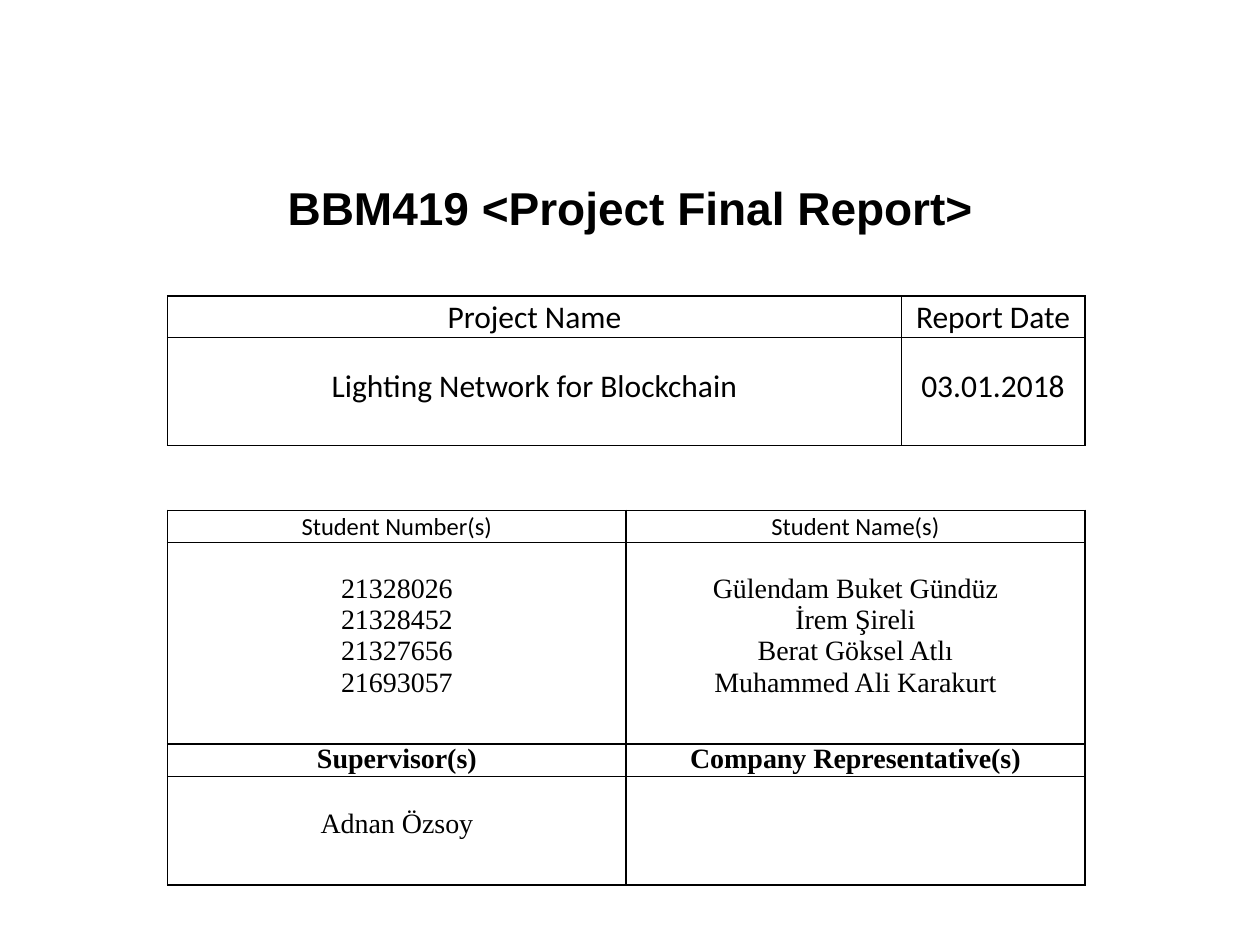
from lxml.etree import SubElement
from pptx import Presentation
from pptx.dml.color import RGBColor
from pptx.enum.text import MSO_ANCHOR, MSO_AUTO_SIZE, PP_ALIGN
from pptx.oxml.ns import qn
from pptx.util import Inches, Pt

INK = "000000"
TABLE_LEFT, TABLE_WIDTH = 1.33, 7.28


def format_paragraph(paragraph, font_name, size, bold, spacing):
    paragraph.alignment = PP_ALIGN.CENTER
    paragraph.line_spacing = spacing
    font = paragraph.font
    font.name, font.size, font.bold = font_name, Pt(size), bold
    font.color.rgb = RGBColor.from_string(INK)


def add_border(cell):
    properties = cell._tc.get_or_add_tcPr()
    for position, side in enumerate(("a:lnL", "a:lnR", "a:lnT", "a:lnB")):
        line = properties.makeelement(qn(side), {"w": str(Pt(1))})
        fill = SubElement(line, qn("a:solidFill"))
        SubElement(fill, qn("a:srgbClr"), val=INK)
        properties.insert(position, line)


presentation = Presentation()
presentation.slide_width, presentation.slide_height = Inches(10), Inches(7.5)
slide = presentation.slides.add_slide(presentation.slide_layouts[5])

title = slide.shapes.title
title.left, title.top = Inches(0.39), Inches(1.27)
title.width, title.height = Inches(9.22), Inches(0.55)
frame = title.text_frame
frame.text = "BBM419 <Project Final Report>"
frame.auto_size = MSO_AUTO_SIZE.NONE
frame.vertical_anchor = MSO_ANCHOR.TOP
frame.margin_top, frame.margin_bottom = Inches(0.11), 0
format_paragraph(frame.paragraphs[0], "Arial", 26.3, True, 1.1)

students = {
    "21328026": "Gülendam Buket Gündüz",
    "21328452": "İrem Şireli",
    "21327656": "Berat Göksel Atlı",
    "21693057": "Muhammed Ali Karakurt",
}
calibri_18 = ("Calibri", 18, False, 1.07)
calibri_14 = ("Calibri", 14, False, 1.07)
times = ("Times New Roman", 16, False, 1.0)
times_bold = ("Times New Roman", 16, True, 1.0)

# Each row: height, top margin, text style, cell texts
tables = [
    (2.35, (0.8, 0.2), [
        (0.32, 0, calibri_18, ("Project Name", "Report Date")),
        (0.86, 0.22, calibri_18, ("Lighting Network for Blockchain", "03.01.2018")),
    ]),
    (4.05, (0.5, 0.5), [
        (0.25, 0, calibri_14, ("Student Number(s)", "Student Name(s)")),
        (1.6, 0.25, times, ("\n".join(students), "\n".join(students.values()))),
        (0.26, 0, times_bold, ("Supervisor(s)", "Company Representative(s)")),
        (0.86, 0.25, times, ("Adnan Özsoy", "")),
    ]),
]

for top, shares, rows in tables:
    height = sum(row[0] for row in rows)
    table = slide.shapes.add_table(
        len(rows), len(shares), Inches(TABLE_LEFT), Inches(top),
        Inches(TABLE_WIDTH), Inches(height)).table
    table.first_row = table.horz_banding = False
    for column, share in zip(table.columns, shares):
        column.width = Inches(TABLE_WIDTH * share)
    for row, (row_height, margin_top, style, texts) in zip(table.rows, rows):
        row.height = Inches(row_height)
        for cell, text in zip(row.cells, texts):
            cell.text = text
            cell.fill.background()
            cell.margin_left = cell.margin_right = Inches(0.07)
            cell.margin_top, cell.margin_bottom = Inches(margin_top), 0
            add_border(cell)
            for paragraph in cell.text_frame.paragraphs:
                format_paragraph(paragraph, *style)

presentation.save("out.pptx")
